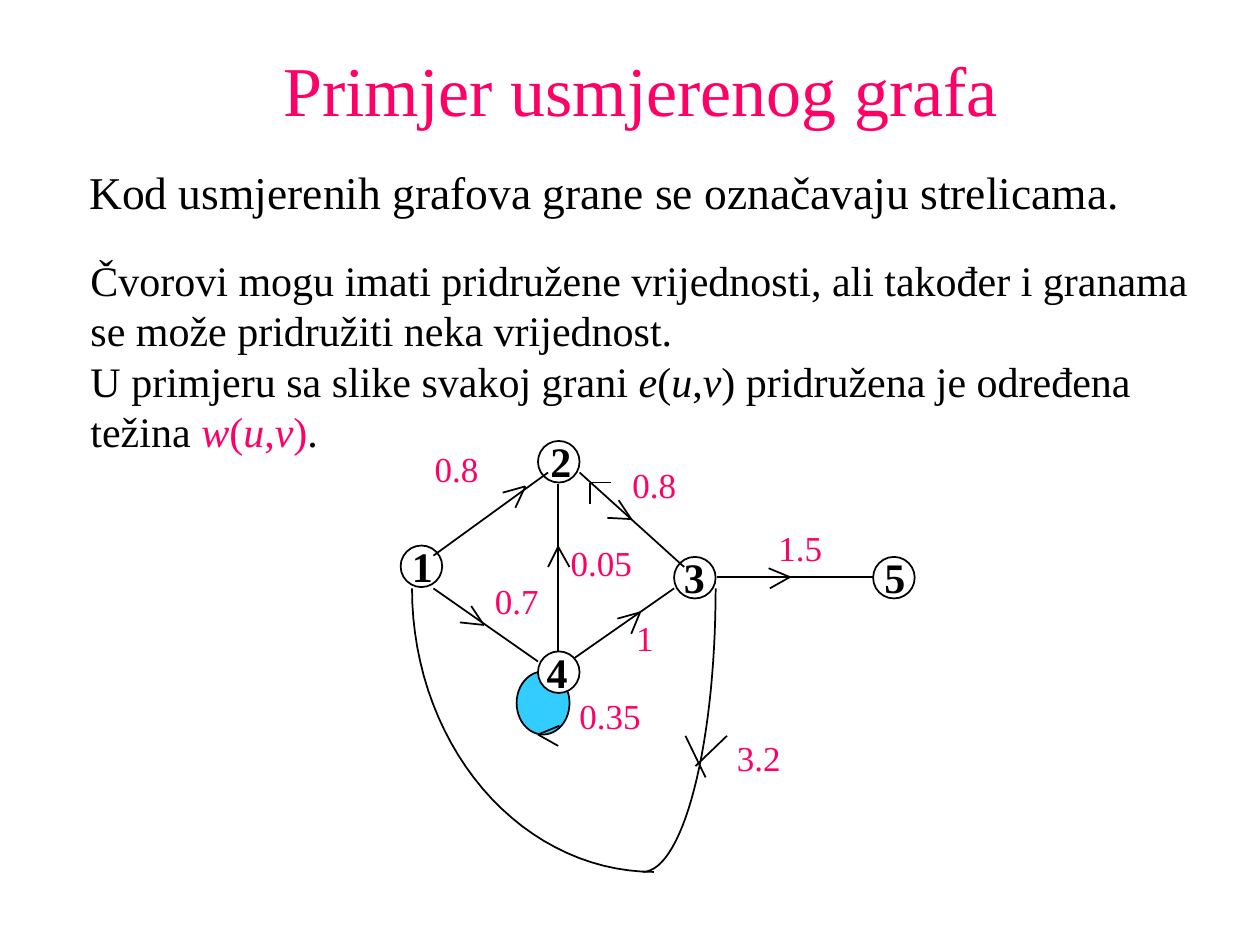
from math import cos, sin, radians
from pptx import Presentation
from pptx.util import Inches, Pt
from pptx.dml.color import RGBColor
from pptx.enum.shapes import MSO_SHAPE, MSO_CONNECTOR
from pptx.enum.text import PP_ALIGN, MSO_AUTO_SIZE
from pptx.oxml.xmlchemy import OxmlElement

COLORS = {"pink": "FF0066", "black": "000000", "white": "FFFFFF", "blue": "33CCFF"}
FONT = "Times New Roman"
LINE_WIDTH = 0.99
NODE_SIZE = 0.33

# Content: a run is (text, color, italic)
TITLE = "Primjer usmjerenog grafa"
INTRO = "Kod usmjerenih grafova grane se označavaju strelicama."


def formula(parts, color):
    """Runs in which every letter is italic and every sign upright."""
    return [(part, color, part.isalpha()) for part in parts]


BODY = [
    [("Čvorovi mogu imati pridružene vrijednosti, ali također i granama", "black", False)],
    [("se može pridružiti neka vrijednost.", "black", False)],
    [("U primjeru sa slike svakoj grani ", "black", False), *formula("e(u,v", "black"),
     (") pridružena je određena", "black", False)],
    [("težina ", "black", False), *formula("w(u,v)", "pink"), (".", "black", False)],
]

# Nodes: circle corner, then number corner
NODES = {
    "1": ((3.18, 4.33), (3.17, 4.24)),
    "5": ((6.93, 4.42), (6.92, 4.33)),
    "3": ((5.35, 4.42), (5.33, 4.33)),
    "2": ((4.27, 3.5), (4.27, 3.41)),
    "4": ((4.27, 5.17), (4.24, 5.08)),
}
LOOP = (4.1, 5.33, 0.42, 0.5)
EDGES = [
    ((3.44, 4.41), (4.35, 3.75)),
    ((3.44, 4.67), (4.27, 5.25)),
    ((4.52, 5.25), (5.35, 4.67)),
    ((4.6, 3.75), (5.43, 4.5)),
    ((5.69, 4.58), (6.93, 4.58)),
    ((4.43, 3.84), (4.43, 5.17)),
]
WEIGHTS = [
    ("0.8", 3.35, 3.5), ("0.8", 4.92, 3.63), ("0.7", 3.83, 4.55), ("1", 4.95, 4.84),
    ("1.5", 6.08, 4.13), ("3.2", 5.75, 5.8), ("0.35", 4.5, 5.46), ("0.05", 4.43, 4.25),
]
# Open arrowheads: tip, then the ends of both barbs
ARROWHEADS = [
    ((4.43, 4.34), (4.35, 4.5), (4.52, 4.5)),
    ((4.17, 3.86), (3.99, 3.91), (4.09, 4.03)),
    ((6.27, 4.58), (6.1, 4.51), (6.11, 4.67)),
    ((5.08, 4.86), (4.9, 4.91), (5.01, 5.03)),
    ((3.84, 4.96), (3.74, 4.81), (3.65, 4.94)),
    ((5.01, 4.12), (4.91, 3.97), (4.82, 4.11)),
    ((4.27, 5.83), (4.43, 5.92), (4.44, 5.76)),
    ((4.68, 3.83), (4.68, 4), (4.85, 3.83)),
]
LONG_EDGE_BARBS = [((5.44, 5.84), (5.6, 6.17)), ((5.52, 6.08), (5.77, 5.84))]
# Quarter ellipses of the long edge: center, radii, start angle
ARCS = [((5.19, 4.67), (1.92, 2.25), 90), ((5.1, 4.67), (0.58, 2.25), 0)]

presentation = Presentation()
presentation.slide_width, presentation.slide_height = Inches(10), Inches(7.5)
slide = presentation.slides.add_slide(presentation.slide_layouts[6])
shapes = slide.shapes


def rgb(name):
    return RGBColor.from_string(COLORS[name])


def style_line(line):
    line.color.rgb = rgb("black")
    line.width = Pt(LINE_WIDTH)


def add_text(box, lines, size, bold=False, align=PP_ALIGN.LEFT, wrap=False):
    frame = shapes.add_textbox(*map(Inches, box)).text_frame
    frame.word_wrap = wrap
    frame.auto_size = MSO_AUTO_SIZE.SHAPE_TO_FIT_TEXT
    for index, runs in enumerate(lines):
        paragraph = frame.add_paragraph() if index else frame.paragraphs[0]
        paragraph.alignment = align
        paragraph.font.name, paragraph.font.size = FONT, Pt(size)
        paragraph.font.bold = bold
        for text, color, italic in runs:
            run = paragraph.add_run()
            run.text = text
            run.font.color.rgb = rgb(color)
            run.font.italic = italic


def add_line(start, end):
    line = shapes.add_connector(MSO_CONNECTOR.STRAIGHT, *map(Inches, (*start, *end)))
    style_line(line.line)
    line._element.spPr.append(OxmlElement("a:effectLst"))


def add_ellipse(box, color):
    ellipse = shapes.add_shape(MSO_SHAPE.OVAL, *map(Inches, box))
    ellipse.shadow.inherit = False
    ellipse.fill.solid()
    ellipse.fill.fore_color.rgb = rgb(color)
    style_line(ellipse.line)


def add_node(number):
    add_ellipse((*NODES[number][0], NODE_SIZE, NODE_SIZE), "white")


def add_arc(center, radii, start, steps=30):
    angles = [radians(start + 90 * step / steps) for step in range(steps + 1)]
    points = [(Inches(center[0] + radii[0] * cos(angle)),
               Inches(center[1] + radii[1] * sin(angle))) for angle in angles]
    builder = shapes.build_freeform(*points[0])
    builder.add_line_segments(points[1:], close=False)
    arc = builder.convert_to_shape()
    arc.shadow.inherit = False
    arc.fill.background()
    style_line(arc.line)


# Texts: the intro box has spare width so its sentence stays on one line
add_text((0.42, 0.32, 9.33, 0.77), [[(TITLE, "pink", False)]], 40,
         align=PP_ALIGN.CENTER, wrap=True)
add_text((0.61, 1.25, 8.6, 0.54), [[(INTRO, "black", False)]], 26, wrap=True)
add_text((0.62, 1.97, 9.1, 1.7), BODY, 24, wrap=True)

# Graph: edges lie over the circles, but node 4 covers its loop and edges
for number in "1532":
    add_node(number)
for start, end in EDGES + LONG_EDGE_BARBS:
    add_line(start, end)
add_ellipse(LOOP, "blue")
add_node("4")
for arc in ARCS:
    add_arc(*arc)
for tip, *barbs in ARROWHEADS:
    for barb in barbs:
        add_line(barb, tip)

# Node numbers and edge weights
for number, (_, corner) in NODES.items():
    add_text((*corner, 0.37, 0.5), [[(number, "black", False)]], 24, bold=True)
for weight, left, top in WEIGHTS:
    width = {1: 0.34, 3: 0.55, 4: 0.69}[len(weight)]
    add_text((left, top, width, 0.43), [[(weight, "pink", False)]], 20)

presentation.save("out.pptx")
